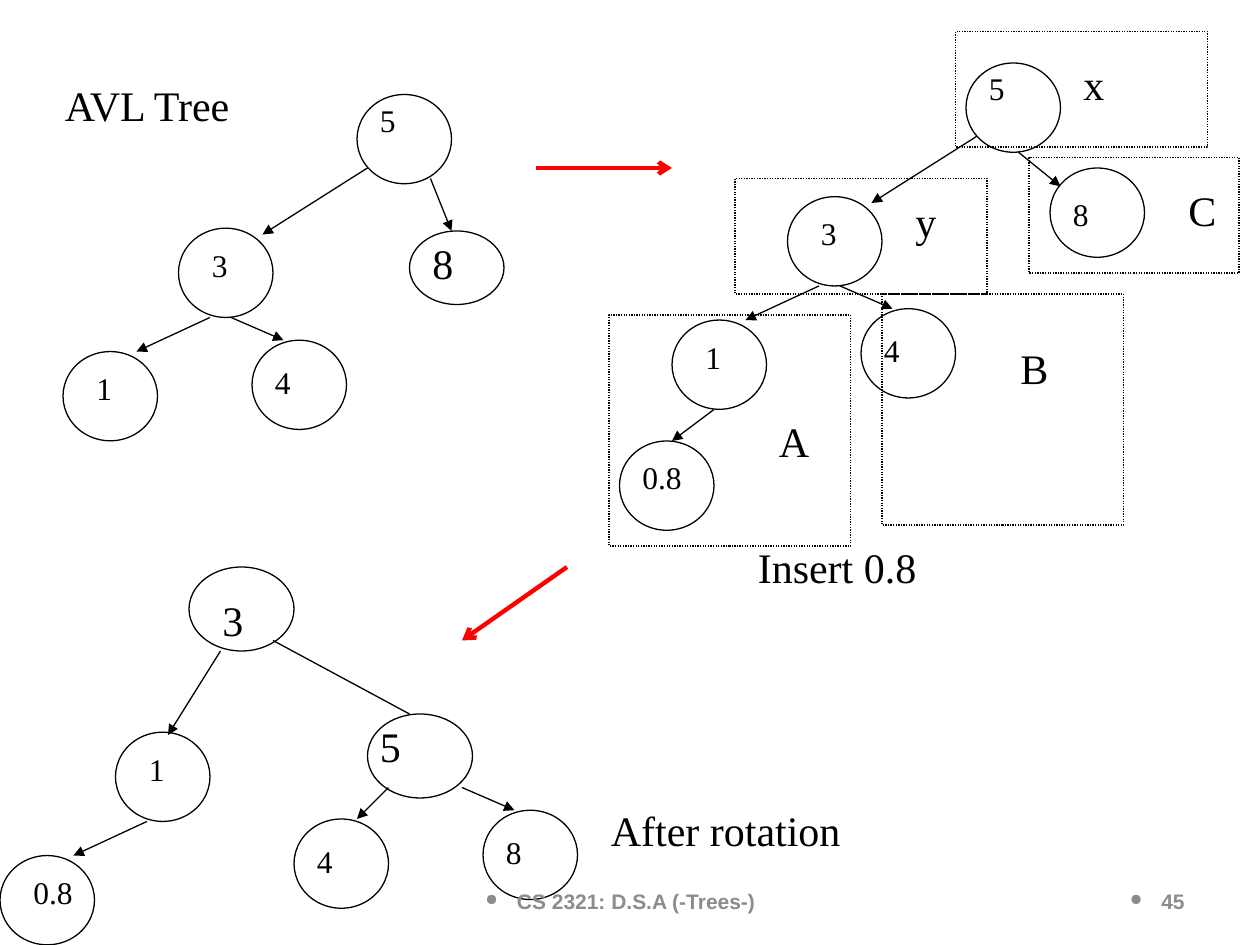
from lxml import etree
from pptx import Presentation
from pptx import util as u
from pptx.dml.color import RGBColor
from pptx.enum import dml, shapes, text
from pptx.oxml.ns import qn

Pt = u.Pt


def tint(part, hue):
    """Give a font, fill or line a solid colour from a hex string."""
    fill = part.fill if hasattr(part, "fill") else part
    fill.solid()
    fill.fore_color.rgb = RGBColor.from_string(hue)


def label(sl, x, y, w, words, size=18):
    """Write one line of serif text."""
    box = sl.shapes.add_textbox(Pt(x), Pt(y), Pt(w), Pt(36 if size > 18 else 28.8))
    frame = box.text_frame
    frame.word_wrap = True
    para = frame.paragraphs[0]
    para.text = words
    para.font.size = Pt(size)
    para.font.name = "Times New Roman"
    tint(para.font, "000000")


def outline(sl, kind, x, y, w, h):
    """Draw an unfilled shape with a thin black line."""
    shape = sl.shapes.add_shape(kind, Pt(x), Pt(y), Pt(w), Pt(h))
    shape.shadow.inherit = False
    shape.fill.background()
    tint(shape.line, "000000")
    shape.line.width = Pt(0.75)
    return shape


def node(sl, x, y, key, dx, dy, wide, w=54, h=51, size=18):
    """Draw a tree node with its key offset from the corner."""
    outline(sl, shapes.MSO_SHAPE.OVAL, x, y, w, h)
    label(sl, x + dx, y + dy, wide, key, size)


def link(sl, x, y, ends, head="triangle", hue="000000", width=0.75):
    """Draw a line between two points, with an optional arrowhead."""
    ax, ay, bx, by = ends
    line = sl.shapes.add_connector(
        shapes.MSO_CONNECTOR.STRAIGHT, Pt(x + ax), Pt(y + ay), Pt(x + bx), Pt(y + by))
    tint(line.line, hue)
    line.line.width = Pt(width)
    if head:
        etree.SubElement(line.line._get_or_add_ln(), qn("a:tailEnd"), type=head)
    etree.SubElement(line._element.spPr, qn("a:effectLst"))


def leaf(sl, x, y, key):
    """Draw a right-hand leaf node."""
    node(sl, x, y, key, 6, 9.4, 72)


def fork(sl, x, y, top, left, right=None):
    """Draw a parent with its left child and perhaps a right one."""
    node(sl, x + 66, y, top, 12, 6.5, 96)
    node(sl, x, y + 70.5, left, 12, 6.5, 60)
    link(sl, x, y, (84, 51, 42, 70.5))
    if right:
        link(sl, x, y, (96, 51, 126, 64))
        leaf(sl, x + 108, y + 64, right)


def before(sl, x, y):
    """Draw the starting tree."""
    label(sl, x - 6, y, 288, "AVL Tree", 24)
    node(sl, x + 168, y + 12, "5", 6, 0, 96)
    node(sl, x + 198, y + 90, "8", 6, 0, 72, h=42, size=24)
    fork(sl, x, y + 88.4, "3", "1", "4")
    for ends in ((174, 54, 114, 92), (210, 60, 222, 90)):
        link(sl, x, y, ends)


def insert(sl, x, y):
    """Draw the tree after insertion, with its named parts framed."""
    node(sl, x + 204, y + 18, "5", 6, 0, 96)
    node(sl, x + 252, y + 78, "8", 6, 12, 66)
    node(sl, x + 6, y + 234, "0.8", 6, 6, 96)
    fork(sl, x + 36, y + 94.4, "3", "1", "4")
    for ends in ((210, 60, 150, 98), (234, 69, 258, 88.5), (60, 216, 36, 234)):
        link(sl, x, y, ends)
    frames = (
        ("x", 198, 0, 144, 66, 66, 12),
        ("y", 72, 84, 144, 66, 96, 6),
        ("A", 0, 162, 138, 132, 90, 54),
        ("B", 156, 150, 138, 132, 72, 24),
        ("C", 240, 72, 120, 66, 84, 12),
    )
    for name, fx, fy, w, h, dx, dy in frames:
        rect = outline(sl, shapes.MSO_SHAPE.RECTANGLE, x + fx, y + fy, w, h)
        rect.line.dash_style = dml.MSO_LINE.ROUND_DOT
        label(sl, x + fx + dx, y + fy + dy, 48, name, 24)
    label(sl, x + 78, y + 288, 294, "Insert 0.8", 24)


def after(sl, x, y):
    """Draw the rotated tree."""
    node(sl, x + 108, y, "3", 12, 12, 150, 60, 48, 24)
    node(sl, x + 210, y + 84, "5", 0, 0, 60, 60, 48, 24)
    fork(sl, x, y + 94.4, "1", "0.8")
    leaf(sl, x + 168, y + 144, "4")
    leaf(sl, x + 276, y + 139, "8")
    link(sl, x, y, (156, 42, 234, 84), head=None)
    for ends in ((126, 48, 96, 96), (222, 126, 204, 144), (264, 126, 294, 139)):
        link(sl, x, y, ends)
    label(sl, x + 342, y + 132, 180, "After rotation", 24)


def footer(sl, x, y, w, words, align, inset=7.2):
    """Write a bulleted grey footer line."""
    box = sl.shapes.add_textbox(Pt(x), Pt(y), Pt(w), Pt(28.8))
    frame = box.text_frame
    frame.word_wrap = True
    frame.margin_right = Pt(inset)
    frame.vertical_anchor = text.MSO_ANCHOR.MIDDLE
    para = frame.paragraphs[0]
    para.text = words
    para.alignment = align
    props = para._p.get_or_add_pPr()
    props.set("marL", str(Pt(18)))
    props.set("indent", str(-Pt(18)))
    etree.SubElement(props, qn("a:buSzPct"), val="75000")
    etree.SubElement(props, qn("a:buChar"), char="●")
    para.font.size = Pt(12)
    para.font.name = "Arial"
    para.font.bold = True
    tint(para.font, "8C8C8C")


def main():
    """Build the slide."""
    deck = Presentation()
    deck.slide_width, deck.slide_height = Pt(720), Pt(540)
    sl = deck.slides.add_slide(deck.slide_layouts[6])
    before(sl, 36, 42)
    insert(sl, 348, 18)
    after(sl, 0, 324)
    for ends in ((306, 96, 384, 96), (324, 324, 264, 366)):
        link(sl, 0, 0, ends, "arrow", "FF0000", 2.5)
    footer(sl, 246, 500.4, 228, "CS 2321: D.S.A (-Trees-)", text.PP_ALIGN.CENTER, 18)
    footer(sl, 516, 500.4, 168, "45", text.PP_ALIGN.RIGHT)
    deck.save("out.pptx")


if __name__ == "__main__":
    main()
